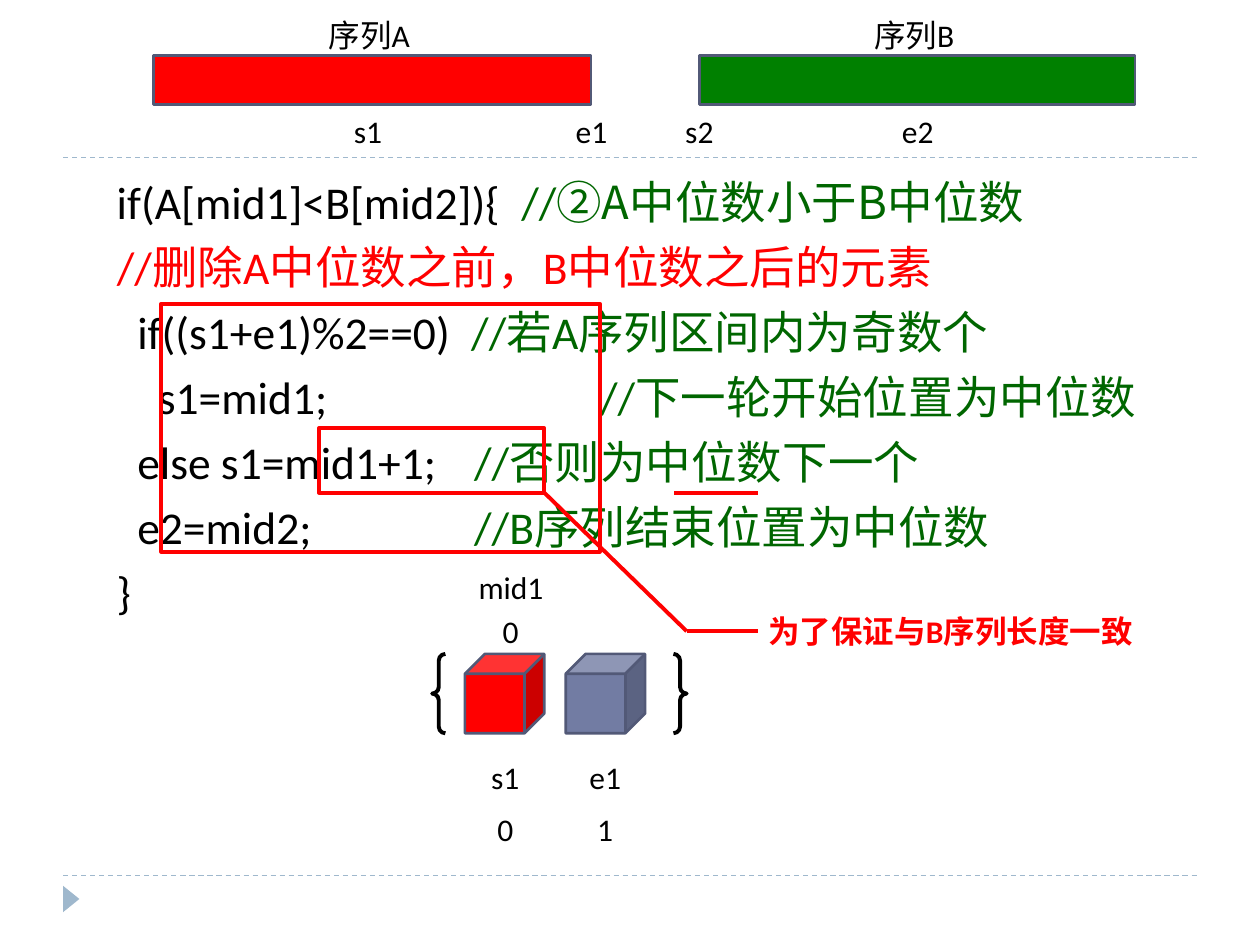
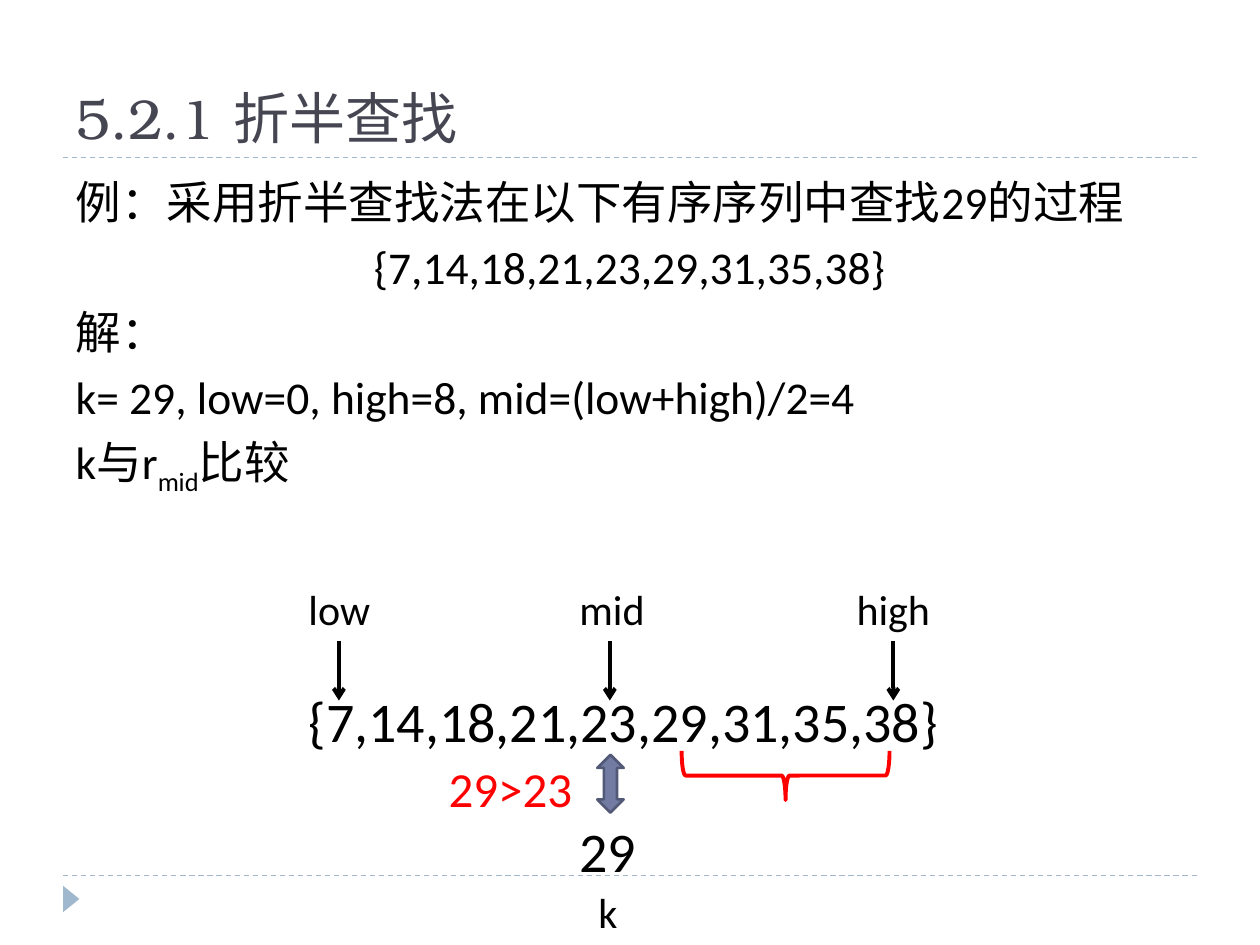
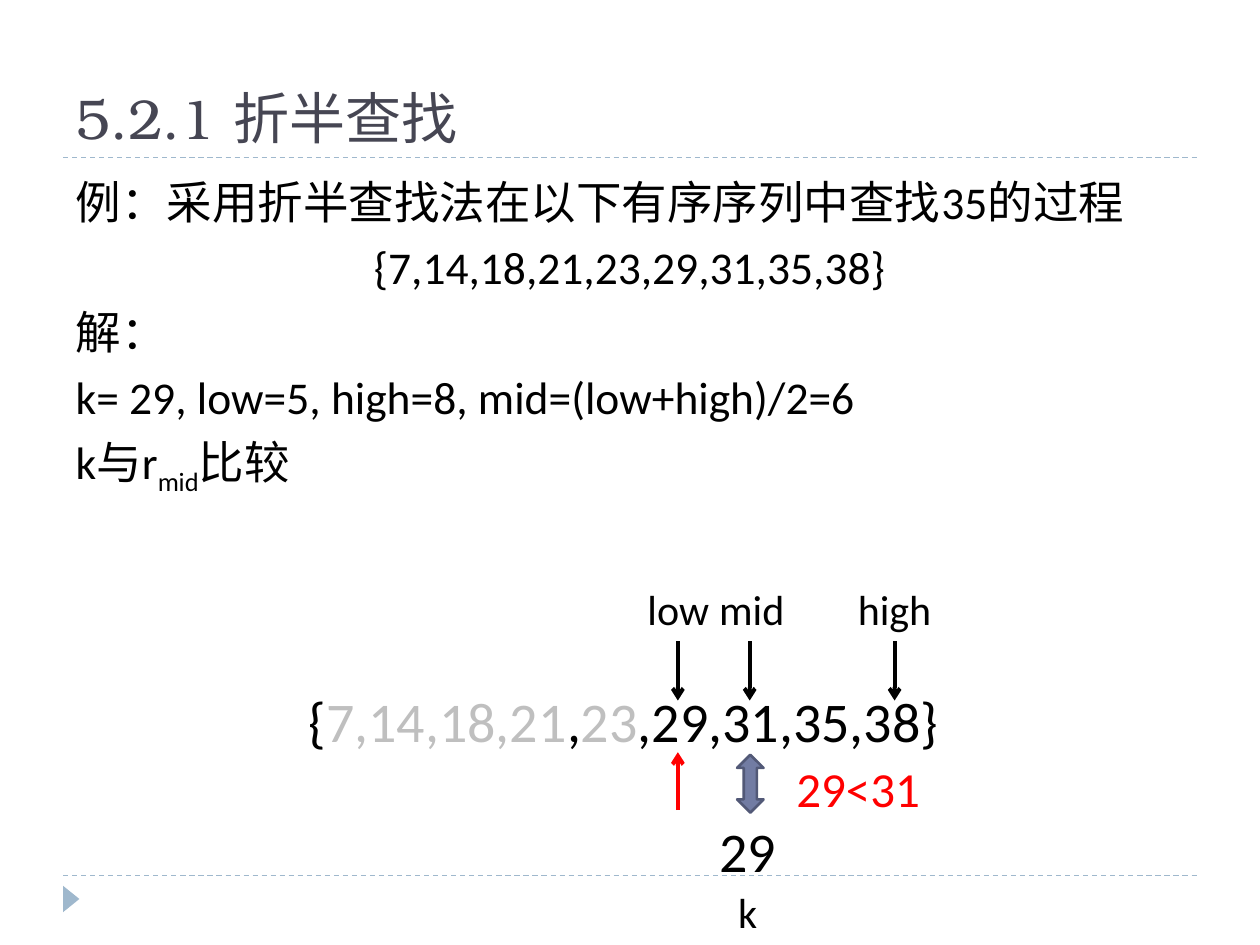
from dataclasses import dataclass

from lxml.etree import SubElement
from pptx import Presentation
from pptx.dml.color import RGBColor
from pptx.enum.dml import MSO_LINE_DASH_STYLE as Dash
from pptx.enum.shapes import MSO_CONNECTOR, MSO_SHAPE as Kind
from pptx.enum.text import MSO_ANCHOR, MSO_AUTO_SIZE, PP_ALIGN as Align
from pptx.oxml.ns import qn
from pptx.shapes.autoshape import Shape
from pptx.slide import Slide
from pptx.text.text import _Paragraph as Paragraph
from pptx.util import Emu, Pt

EMU_PER_PX = 9144  # 100 px to the inch
COLORS = {
    "ink": "000000", "red": "FF0000", "green": "008000", "comment": "006600",
    "title": "464653", "rule": "9FB8CD", "accent": "727CA3",
    "outline": "525977", "dropped": "BFBFBF",
}
BODY_FONT, TITLE_FONT, CJK_FONT = "Calibri", "TeX Gyre Bonum", "Noto Sans CJK SC"
LABEL_HEIGHTS = {18: 40, 24: 50, 28: 57, 32: 64}
LABEL_SLACK = 4  # keeps each label on one line
TAB_WIDTH = 100
SEQUENCE = "{7,14,18,21,23,29,31,35,38}"


@dataclass(frozen=True)
class Span:
    text: str
    color: str = "ink"
    font: str = BODY_FONT
    bold: bool = False
    baseline: int = 0


@dataclass(frozen=True)
class Line:
    spans: tuple[Span, ...]
    align: Align = Align.LEFT


@dataclass(frozen=True)
class Label:
    left: int
    top: int
    width: int
    spans: tuple[Span, ...]
    size: int = 18
    align: Align = Align.LEFT


@dataclass(frozen=True)
class Box:
    kind: Kind
    left: int
    top: int
    width: int
    height: int
    fill: str | None = None
    line: str | None = "outline"
    weight: float = 1.5
    rotation: int = 0
    adjustments: tuple[float, ...] = ()


@dataclass(frozen=True)
class Stroke:
    start: tuple[int, int]
    end: tuple[int, int]
    color: str = "red"
    weight: float = 2.25
    dashed: bool = False
    arrow: bool = False


@dataclass(frozen=True)
class SearchStep:
    target: int
    low: int
    high: int
    mid: int
    low_x: int
    high_x: int
    mid_x: int
    sequence: tuple[Span, ...]
    verdict: str
    verdict_left: int


def px(value: int) -> Emu:
    return Emu(value * EMU_PER_PX)


def rgb(name: str) -> RGBColor:
    return RGBColor.from_string(COLORS[name])


# Drawing helpers

def add_spans(paragraph: Paragraph, spans: tuple[Span, ...], size: int) -> None:
    for span in spans:
        run = paragraph.add_run()
        run.text = span.text
        run.font.name = span.font
        run.font.size = Pt(size)
        run.font.bold = span.bold
        run.font.color.rgb = rgb(span.color)
        if span.baseline:
            run._r.get_or_add_rPr().set("baseline", str(span.baseline * 1000))


def add_label(slide: Slide, label: Label) -> None:
    slack = LABEL_SLACK if label.align == Align.LEFT else 0
    shape = slide.shapes.add_textbox(px(label.left), px(label.top),
                                     px(label.width + slack),
                                     px(LABEL_HEIGHTS[label.size]))
    shape.text_frame.word_wrap = False
    shape.text_frame.auto_size = MSO_AUTO_SIZE.SHAPE_TO_FIT_TEXT
    paragraph = shape.text_frame.paragraphs[0]
    paragraph.alignment = label.align
    add_spans(paragraph, label.spans, label.size)


def add_box(slide: Slide, box: Box) -> None:
    shape = slide.shapes.add_shape(box.kind, px(box.left), px(box.top),
                                   px(box.width), px(box.height))
    shape.shadow.inherit = False
    shape.rotation = box.rotation
    for index, value in enumerate(box.adjustments):
        shape.adjustments[index] = value
    if box.fill:
        shape.fill.solid()
        shape.fill.fore_color.rgb = rgb(box.fill)
    else:
        shape.fill.background()
    if box.line:
        shape.line.color.rgb = rgb(box.line)
        shape.line.width = Pt(box.weight)
    else:
        shape.line.fill.background()


def add_stroke(slide: Slide, stroke: Stroke) -> None:
    connector = slide.shapes.add_connector(
        MSO_CONNECTOR.STRAIGHT, *map(px, stroke.start), *map(px, stroke.end))
    connector.line.color.rgb = rgb(stroke.color)
    connector.line.width = Pt(stroke.weight)
    if stroke.dashed:
        connector.line.dash_style = Dash.DASH
    if stroke.arrow:
        SubElement(connector.line._get_or_add_ln(), qn("a:tailEnd"), type="arrow")
    SubElement(connector._element.spPr, qn("a:effectLst"))


def place(shape: Shape, left: int, top: int, width: int, height: int) -> None:
    shape.left, shape.top = px(left), px(top)
    shape.width, shape.height = px(width), px(height)
    shape.text_frame.auto_size = MSO_AUTO_SIZE.NONE
    shape.text_frame.word_wrap = True


def fill_title(slide: Slide, text: str) -> None:
    title = slide.shapes.title
    place(title, 50, 17, 900, 108)
    title.text_frame.vertical_anchor = MSO_ANCHOR.BOTTOM
    paragraph = title.text_frame.paragraphs[0]
    paragraph.alignment = Align.LEFT
    add_spans(paragraph, (Span(text, "title", TITLE_FONT),), 32)


def fill_body(slide: Slide, lines: list[Line]) -> None:
    body = slide.placeholders[1]
    place(body, 50, 133, 900, 540)
    frame = body.text_frame
    for index, line in enumerate(lines):
        paragraph = frame.add_paragraph() if index else frame.paragraphs[0]
        properties = paragraph._p.get_or_add_pPr()
        properties.set("marL", "0")
        properties.set("indent", "0")
        properties.set("defTabSz", str(px(TAB_WIDTH)))
        SubElement(properties, qn("a:buNone"))
        paragraph.alignment = line.align
        paragraph.space_before = Pt(6 if index else 0)
        add_spans(paragraph, line.spans, 26)


def add_base_slide(presentation: Presentation) -> Slide:
    slide = presentation.slides.add_slide(presentation.slide_layouts[1])
    for y in (695, 125):
        add_stroke(slide, Stroke((50, y), (950, y), "rule", 0.75, dashed=True))
    add_box(slide, Box(Kind.ISOSCELES_TRIANGLE, 46, 707, 21, 13, "rule", None, rotation=90))
    return slide


# Median of two sequences

def code(text: str, comment: str = "", color: str = "comment") -> Line:
    spans = (Span(text),)
    return Line(spans + (Span(comment, color),) if comment else spans)


MEDIAN_CODE = [
    Line((Span("    if(A[mid1]<B[mid2]){  "), Span("//", "comment"),
          Span("②A中位数小于B中位数", "comment", CJK_FONT))),
    code("    ", "//删除A中位数之前，B中位数之后的元素", "red"),
    code("      if((s1+e1)%2==0)  ", "//若A序列区间内为奇数个"),
    code("        s1=mid1;\t\t  ", "//下一轮开始位置为中位数"),
    code("      else s1=mid1+1;\t  ", "//否则为中位数下一个"),
    code("      e2=mid2;\t\t  ", "//B序列结束位置为中位数"),
    code("    }"),
]
MEDIAN_BOXES = [
    Box(Kind.RECTANGLE, 122, 44, 347, 39, "red"),
    Box(Kind.RECTANGLE, 555, 44, 346, 39, "green"),
    Box(Kind.RECTANGLE, 128, 241, 348, 197, None, "red", 2.25),
    Box(Kind.RECTANGLE, 253, 340, 179, 51, None, "red", 2.25),
    Box(Kind.DOUBLE_BRACE, 343, 519, 202, 63, None, "ink", 2.25),
    Box(Kind.CUBE, 369, 519, 63, 63, "red"),
    Box(Kind.CUBE, 449, 519, 63, 63, "accent"),
]
MEDIAN_LABELS = [
    ("序列A", 251, 8, 90), ("序列B", 684, 8, 89),
    ("s1", 271, 84, 42), ("e1", 447, 84, 45), ("s2", 534, 84, 42), ("e2", 706, 84, 45),
    ("mid1", 370, 446, 71), ("0", 389, 481, 32),
    ("s1", 380, 597, 42), ("e1", 458, 597, 45), ("0", 385, 638, 32), ("1", 464, 638, 32),
]
MEDIAN_STROKES = [
    Stroke((535, 391), (602, 391)),
    Stroke((432, 391), (545, 501)),
    Stroke((545, 501), (602, 501)),
]


def build_median_slide(presentation: Presentation) -> None:
    slide = add_base_slide(presentation)
    title = slide.shapes.title._element
    title.getparent().remove(title)
    fill_body(slide, MEDIAN_CODE)
    for box in MEDIAN_BOXES:
        add_box(slide, box)
    for text, left, top, width in MEDIAN_LABELS:
        add_label(slide, Label(left, top, width, (Span(text),)))
    add_label(slide, Label(600, 481, 321,
                           (Span("为了保证与B序列长度一致", "red", bold=True),)))
    for stroke in MEDIAN_STROKES:
        add_stroke(slide, stroke)


# Binary search steps

SEARCH_STEPS = [
    SearchStep(29, 0, 8, 4, 269, 709, 484, (Span(SEQUENCE),), "29>23 ", 346),
    SearchStep(35, 5, 8, 6, 538, 710, 595,
               (Span("{"), Span("7,14,18,21", "dropped"), Span(","),
                Span("23", "dropped"), Span(",29,31,35,38}")), "29<31 ", 622),
]


def build_search_slide(presentation: Presentation, step: SearchStep) -> Slide:
    slide = add_base_slide(presentation)
    fill_title(slide, "5.2.1 折半查找")
    fill_body(slide, [
        Line((Span(f"例：采用折半查找法在以下有序序列中查找{step.target}的过程"),)),
        Line((Span(SEQUENCE),), Align.CENTER),
        Line((Span("解："),)),
        Line((Span(f"k= 29, low={step.low}, high={step.high}, "
                   f"mid=(low+high)/2={step.mid}"),)),
        Line((Span("k与r"), Span("mid", baseline=-25), Span("比较"))),
    ])
    add_label(slide, Label(235, 540, 520, step.sequence, 32, Align.CENTER))
    pointers = (("low", step.low_x, 34, 69), ("high", step.high_x, 39, 78),
                ("mid", step.mid_x, 34, 72))
    for name, x, offset, width in pointers:
        add_stroke(slide, Stroke((x, 509), (x, 556), "ink", arrow=True))
        add_label(slide, Label(x - offset, 458, width, (Span(name),), 24))
    add_label(slide, Label(step.mid_x - 34, 643, 65, (Span("29"),), 32, Align.CENTER))
    add_label(slide, Label(step.mid_x - 19, 699, 35, (Span("k"),), 24))
    add_box(slide, Box(Kind.UP_DOWN_ARROW, step.mid_x - 10, 599, 21, 46, "accent"))
    add_label(slide, Label(step.verdict_left, 597, 127, (Span(step.verdict, "red"),),
                           28, Align.CENTER))
    return slide


def main() -> None:
    presentation = Presentation()
    presentation.slide_width, presentation.slide_height = px(1000), px(750)
    build_median_slide(presentation)
    first, second = [build_search_slide(presentation, step) for step in SEARCH_STEPS]
    # Remaining range, then the next position to check
    add_box(first, Box(Kind.LEFT_BRACE, 604, 533, 39, 165, None, "red", 2.25,
                       rotation=270, adjustments=(0.08, 0.5)))
    add_stroke(second, Stroke((538, 643), (538, 597), arrow=True))
    presentation.save("out.pptx")


if __name__ == "__main__":
    main()
